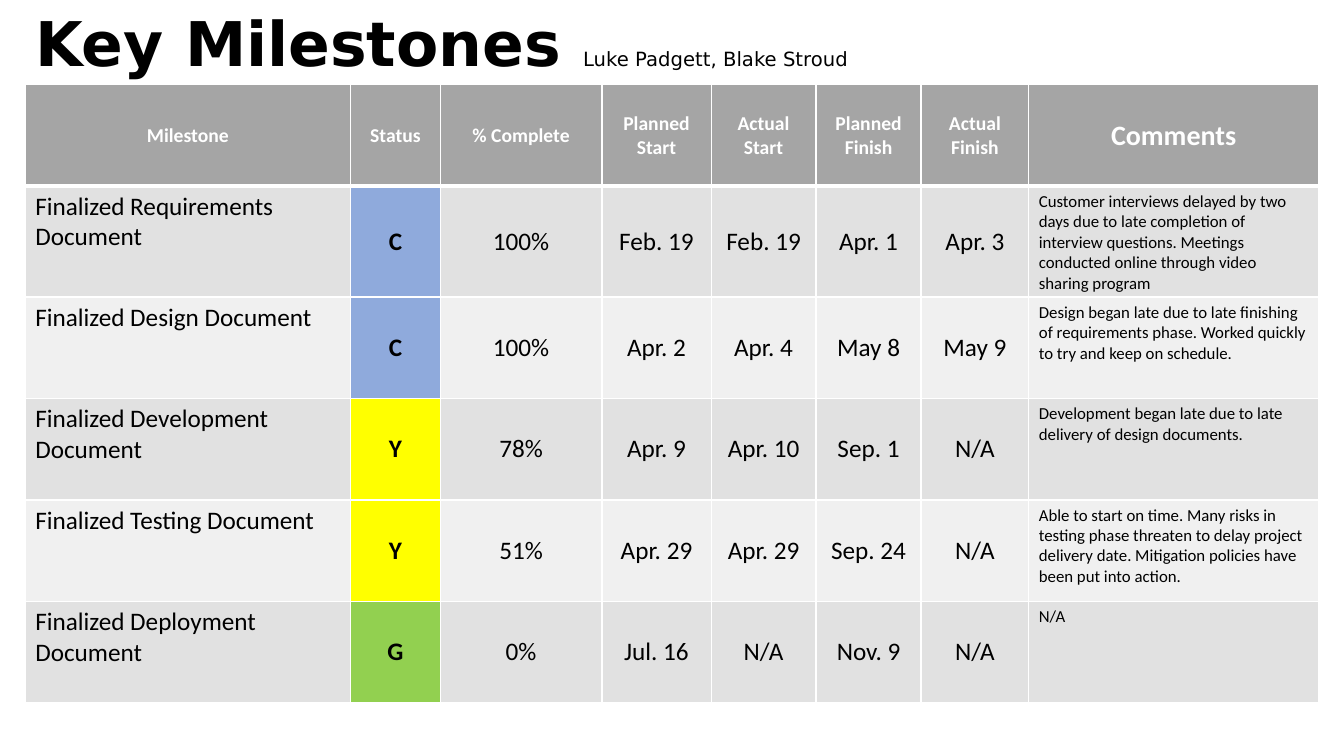
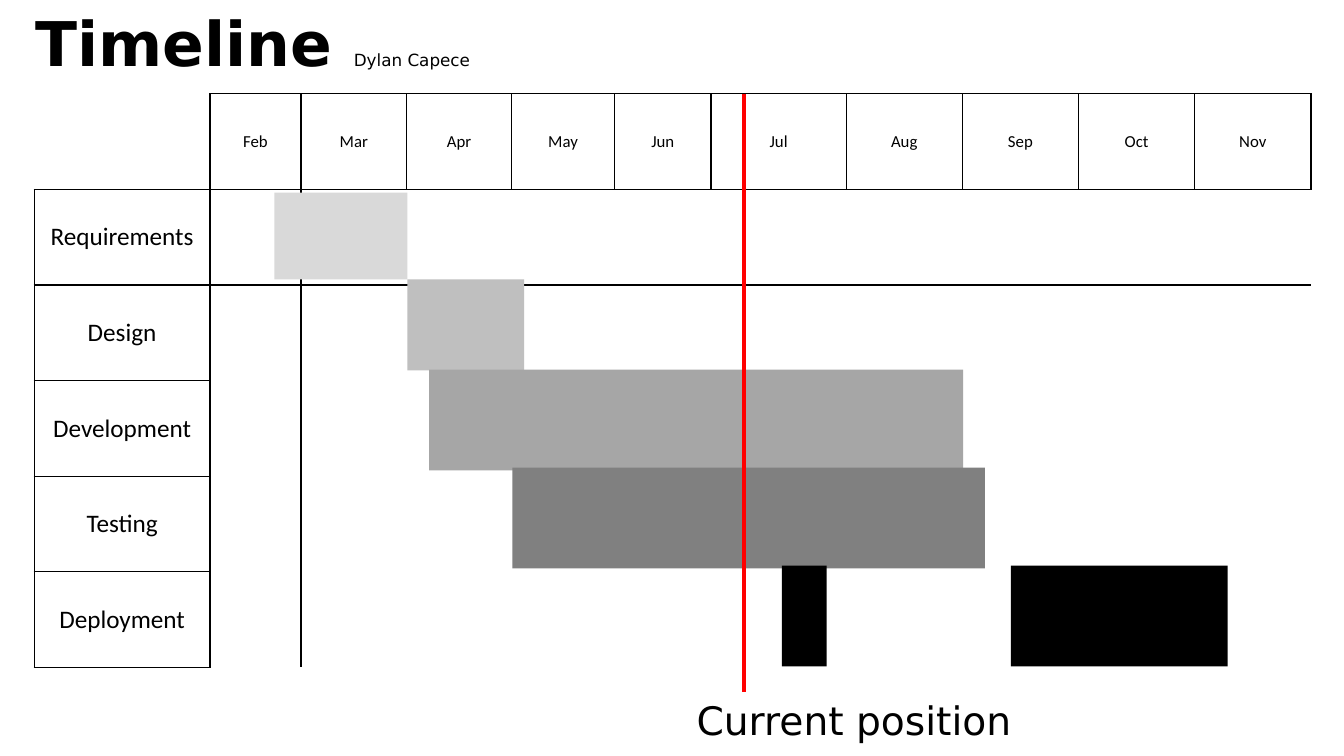
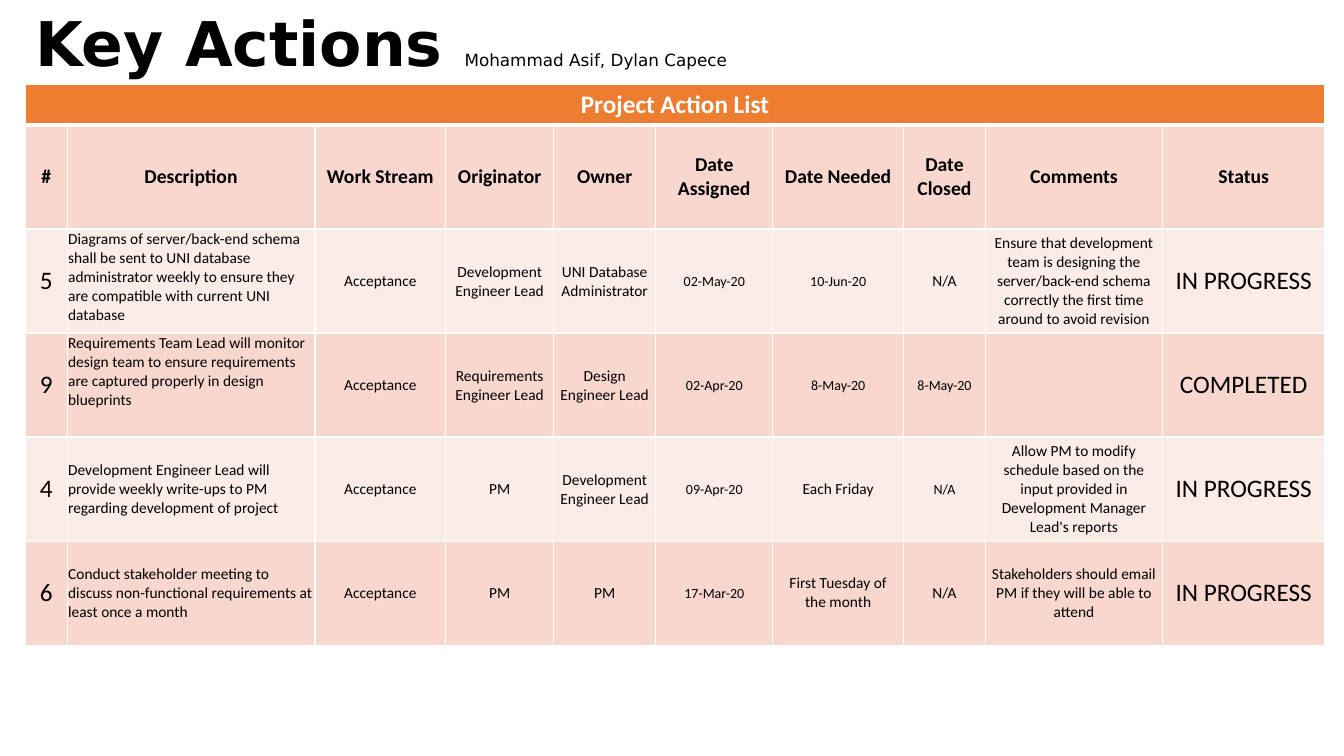
from dataclasses import dataclass, replace
from typing import NamedTuple, Optional

from lxml.etree import SubElement
from pptx import Presentation
from pptx.dml.color import RGBColor
from pptx.enum.shapes import MSO_CONNECTOR, MSO_SHAPE
from pptx.enum.text import MSO_ANCHOR, MSO_AUTO_SIZE, PP_ALIGN
from pptx.oxml.ns import qn
from pptx.util import Pt


@dataclass(frozen=True)
class Theme:
    heading_font: str = "DejaVu Sans"
    table_font: str = "Calibri"
    black: str = "000000"
    white: str = "FFFFFF"
    grey_head: str = "A5A5A5"
    grey_bands: tuple = ("E1E1E1", "F0F0F0")
    orange_head: str = "ED7D31"
    orange_bands: tuple = ("F8D7CE", "FCECE8")
    today: str = "FF0000"
    title: float = 44
    callout: float = 28
    large: float = 20
    body: float = 18
    label: float = 14
    note: float = 12
    small: float = 11
    date: float = 10
    thin: float = 1
    thick: float = 3


THEME = Theme()
STATUS_FILLS = {"C": "8FAADC", "Y": "FFFF00", "G": "92D050"}
NO_STYLE = "{2D5ABB26-0587-4C30-8999-92F81FD0307C}"
MARGIN = 18
TABLE_TOP = 60.5


class Heading(NamedTuple):
    title: str
    authors: str
    author_size: float
    width: float


class Box(NamedTuple):
    left: float
    top: float
    width: float
    height: float


class Bar(NamedTuple):
    box: Box
    color: str


@dataclass(frozen=True)
class Entry:
    text: str = ""
    size: float = THEME.body
    bold: bool = False
    color: str = THEME.black
    fill: Optional[str] = None
    align: PP_ALIGN = PP_ALIGN.CENTER
    anchor: MSO_ANCHOR = MSO_ANCHOR.MIDDLE
    tight: bool = False
    sides: str = "LRTB"
    border: str = THEME.white
    thick_side: str = ""


def write(paragraph, text: str, *, size: float, color: str = THEME.black,
          bold: bool = False, font: str = THEME.heading_font) -> None:
    run = paragraph.add_run()
    run.text = text
    run.font.size = Pt(size)
    run.font.bold = bold
    run.font.name = font
    run.font.color.rgb = RGBColor.from_string(color)


def add_textbox(slide, box: Box, wrap: bool = True):
    frame = slide.shapes.add_textbox(*map(Pt, box)).text_frame
    frame.word_wrap = wrap
    frame.auto_size = MSO_AUTO_SIZE.SHAPE_TO_FIT_TEXT
    return frame.paragraphs[0]


def add_heading(slide, heading: Heading) -> None:
    line = add_textbox(slide, Box(MARGIN, 0, heading.width, TABLE_TOP))
    write(line, heading.title + " ", size=THEME.title, bold=True)
    write(line, heading.authors, size=heading.author_size)


def draw_borders(cell, entry: Entry) -> None:
    properties = cell._tc.get_or_add_tcPr()
    for side in "LRTB":
        if side not in entry.sides:
            continue
        width = THEME.thick if side in entry.thick_side else THEME.thin
        edge = SubElement(properties, qn(f"a:ln{side}"), w=str(Pt(width)))
        SubElement(SubElement(edge, qn("a:solidFill")), qn("a:srgbClr"), val=entry.border)


def fill_cell(cell, entry: Entry) -> None:
    draw_borders(cell, entry)
    if entry.fill:
        cell.fill.solid()
        cell.fill.fore_color.rgb = RGBColor.from_string(entry.fill)
    else:
        cell.fill.background()
    cell.vertical_anchor = entry.anchor
    if entry.tight:
        cell.margin_left = cell.margin_right = cell.margin_top = Pt(0.7)
        cell.margin_bottom = 0
    if entry.text:
        paragraph = cell.text_frame.paragraphs[0]
        paragraph.alignment = entry.align
        write(paragraph, entry.text, size=entry.size, color=entry.color,
              bold=entry.bold, font=THEME.table_font)


def add_grid(slide, left: float, top: float, widths: list[float],
             heights: list[float], entries: list[list[Entry]]):
    box = Box(left, top, sum(widths), sum(heights))
    grid = slide.shapes.add_table(len(heights), len(widths), *map(Pt, box)).table
    grid.first_row = grid.horz_banding = False
    grid._tbl.tblPr.find(qn("a:tableStyleId")).text = NO_STYLE
    for column, width in zip(grid.columns, widths):
        column.width = Pt(width)
    for row, height, row_entries in zip(grid.rows, heights, entries):
        row.height = Pt(height)
        for cell, entry in zip(row.cells, row_entries):
            fill_cell(cell, entry)
    return grid


def add_bar(slide, bar: Bar) -> None:
    rect = slide.shapes.add_shape(MSO_SHAPE.RECTANGLE, *map(Pt, bar.box))
    rect.shadow.inherit = False
    rect.fill.solid()
    rect.fill.fore_color.rgb = RGBColor.from_string(bar.color)
    rect.line.fill.background()


def build_milestones(slide) -> None:
    add_heading(slide, Heading("Key Milestones", "Luke Padgett, Blake Stroud", THEME.label, 766))
    titles = ["Milestone", "Status", "% Complete", "Planned Start", "Actual Start",
              "Planned Finish", "Actual Finish", "Comments"]
    milestones = [
        ["Finalized Requirements Document", "C", "100%", "Feb. 19", "Feb. 19", "Apr. 1", "Apr. 3",
         "Customer interviews delayed by two days due to late completion of interview questions. "
         "Meetings conducted online through video sharing program"],
        ["Finalized Design Document", "C", "100%", "Apr. 2", "Apr. 4", "May 8", "May 9",
         "Design began late due to late finishing of requirements phase. "
         "Worked quickly to try and keep on schedule."],
        ["Finalized Development Document", "Y", "78%", "Apr. 9", "Apr. 10", "Sep. 1", "N/A",
         "Development began late due to late delivery of design documents."],
        ["Finalized Testing Document", "Y", "51%", "Apr. 29", "Apr. 29", "Sep. 24", "N/A",
         "Able to start on time. Many risks in testing phase threaten to delay project delivery "
         "date. Mitigation policies have been put into action."],
        ["Finalized Deployment Document", "G", "0%", "Jul. 16", "N/A", "Nov. 9", "N/A", "N/A"],
    ]
    head = Entry(size=THEME.label, bold=True, color=THEME.white,
                 fill=THEME.grey_head, thick_side="B")
    entries = [[replace(head, text=title) for title in titles]]
    entries[0][-1] = replace(entries[0][-1], size=THEME.large)
    name = Entry(align=PP_ALIGN.LEFT, anchor=MSO_ANCHOR.TOP)
    styles = [name, Entry(bold=True)] + [Entry()] * 5 + [replace(name, size=THEME.note)]
    for index, milestone in enumerate(milestones):
        band = THEME.grey_bands[index % 2]
        entries.append([
            replace(style, text=text, fill=STATUS_FILLS.get(text, band),
                    thick_side="T" if index == 0 else "")
            for style, text in zip(styles, milestone)])
    widths = [232.5, 64, 115.5, 78, 75, 75, 77, 207]
    add_grid(slide, MARGIN, TABLE_TOP, widths, [72.5] * 6, entries)


def timeline_entry(row: int, column: int, months: list[str], phases: list[str]) -> Entry:
    if row == 0 and column == 0:
        return Entry(sides="RB", border=THEME.black)
    if row == 0:
        return Entry(months[column - 1], size=THEME.note, border=THEME.black)
    if column == 0:
        return Entry(phases[row - 1], border=THEME.black)
    sides = ("L" if column == 1 else "") + ("T" if row == 1 else "")
    return Entry(sides=sides, border=THEME.black)


def build_timeline(slide) -> None:
    months = ["Feb", "Mar", "Apr", "May", "Jun", "Jul", "Aug", "Sep", "Oct", "Nov"]
    phases = ["Requirements", "Design", "Development", "Testing", "Deployment"]
    widths = [125.5, 65, 75.5, 75, 73.5, 69, 96.5] + [83] * 4
    entries = [[timeline_entry(row, column, months, phases) for column in range(len(widths))]
               for row in range(len(phases) + 1)]
    add_grid(slide, 24.5, 67, widths, [68.3] * len(entries), entries)
    add_heading(slide, Heading("Timeline", "Dylan Capece", THEME.note, 814))
    bars = [
        Bar(Box(196, 137.5, 95, 62), "D9D9D9"),
        Bar(Box(291, 199.5, 83.5, 65), "BFBFBF"),
        Bar(Box(306.5, 264, 381.5, 72), "A6A6A6"),
        Bar(Box(366, 334, 337.5, 72), "808080"),
        Bar(Box(722, 404, 155, 72), THEME.black),
        Bar(Box(558.5, 404, 32, 72), THEME.black),
    ]
    for bar in bars:
        add_bar(slide, bar)
    today_x, today_top, today_bottom = Pt(531.5), Pt(67), Pt(494)
    today = slide.shapes.add_connector(
        MSO_CONNECTOR.STRAIGHT, today_x, today_top, today_x, today_bottom)
    today.line.color.rgb = RGBColor.from_string(THEME.today)
    today.line.width = Pt(THEME.thick)
    SubElement(today.element.spPr, qn("a:effectLst"))
    caption = add_textbox(slide, Box(490.5, 494, 243.5, 41), wrap=False)
    write(caption, "Current position", size=THEME.callout)


def build_actions(slide) -> None:
    add_heading(slide, Heading("Key Actions", "Mohammad Asif, Dylan Capece", THEME.note, 804))
    titles = ["#", "Description", "Work Stream", "Originator", "Owner", "Date Assigned",
              "Date Needed", "Date Closed", "Comments", "Status"]
    actions = [
        ["5", "Diagrams of server/back-end schema shall be sent to UNI database administrator "
         "weekly to ensure they are compatible with current UNI database",
         "Acceptance", "Development Engineer Lead", "UNI Database Administrator",
         "02-May-20", "10-Jun-20", "N/A",
         "Ensure that development team is designing the server/back-end schema correctly "
         "the first time around to avoid revision", "IN PROGRESS"],
        ["9", "Requirements Team Lead will monitor design team to ensure requirements are "
         "captured properly in design blueprints",
         "Acceptance", "Requirements Engineer Lead", "Design Engineer Lead",
         "02-Apr-20", "8-May-20", "8-May-20", "", "COMPLETED"],
        ["4", "Development Engineer Lead will provide weekly write-ups to PM regarding "
         "development of project",
         "Acceptance", "PM", "Development Engineer Lead", "09-Apr-20", "Each Friday", "N/A",
         "Allow PM to modify schedule based on the input provided in Development Manager "
         "Lead's reports", "IN PROGRESS"],
        ["6", "Conduct stakeholder meeting to discuss non-functional requirements at least "
         "once a month",
         "Acceptance", "PM", "PM", "17-Mar-20", "First Tuesday of the month", "N/A",
         "Stakeholders should email PM if they will be able to attend", "IN PROGRESS"],
    ]
    banner = Entry(bold=True, color=THEME.white, fill=THEME.orange_head, thick_side="B")
    head = Entry(size=THEME.label, bold=True, fill=THEME.orange_bands[0], thick_side="T")
    entries = [[replace(banner, text="" if column else "Project Action List")
                for column in range(len(titles))],
               [replace(head, text=title) for title in titles]]

    key = Entry()
    loose = Entry(size=THEME.small)
    tight = replace(loose, tight=True)
    dated = replace(tight, size=THEME.date)
    described = replace(tight, align=PP_ALIGN.LEFT)
    described_top = replace(described, anchor=MSO_ANCHOR.TOP)
    styles = [key, described, loose, tight, tight, dated, dated, dated, tight, key]
    exceptions = {(0, 1): described_top, (1, 1): described_top, (0, 7): loose,
                  (2, 6): loose, (3, 6): loose, (3, 7): loose}
    for row, action in enumerate(actions):
        band = THEME.orange_bands[(row + 1) % 2]
        entries.append([
            replace(exceptions.get((row, column), styles[column]), text=text, fill=band)
            for column, text in enumerate(action)])
    widths = [30, 177, 93.5, 77, 73, 83.5, 93.5, 58.5, 126.5, 116]
    grid = add_grid(slide, MARGIN, TABLE_TOP, widths, [26] + [74.3] * 5, entries)
    grid.cell(0, 0).merge(grid.cell(0, len(titles) - 1))


def main() -> None:
    deck = Presentation()
    deck.slide_width, deck.slide_height = Pt(960), Pt(540)
    blank = deck.slide_layouts[6]
    for build in (build_milestones, build_timeline, build_actions):
        build(deck.slides.add_slide(blank))
    deck.save("out.pptx")


if __name__ == "__main__":
    main()
